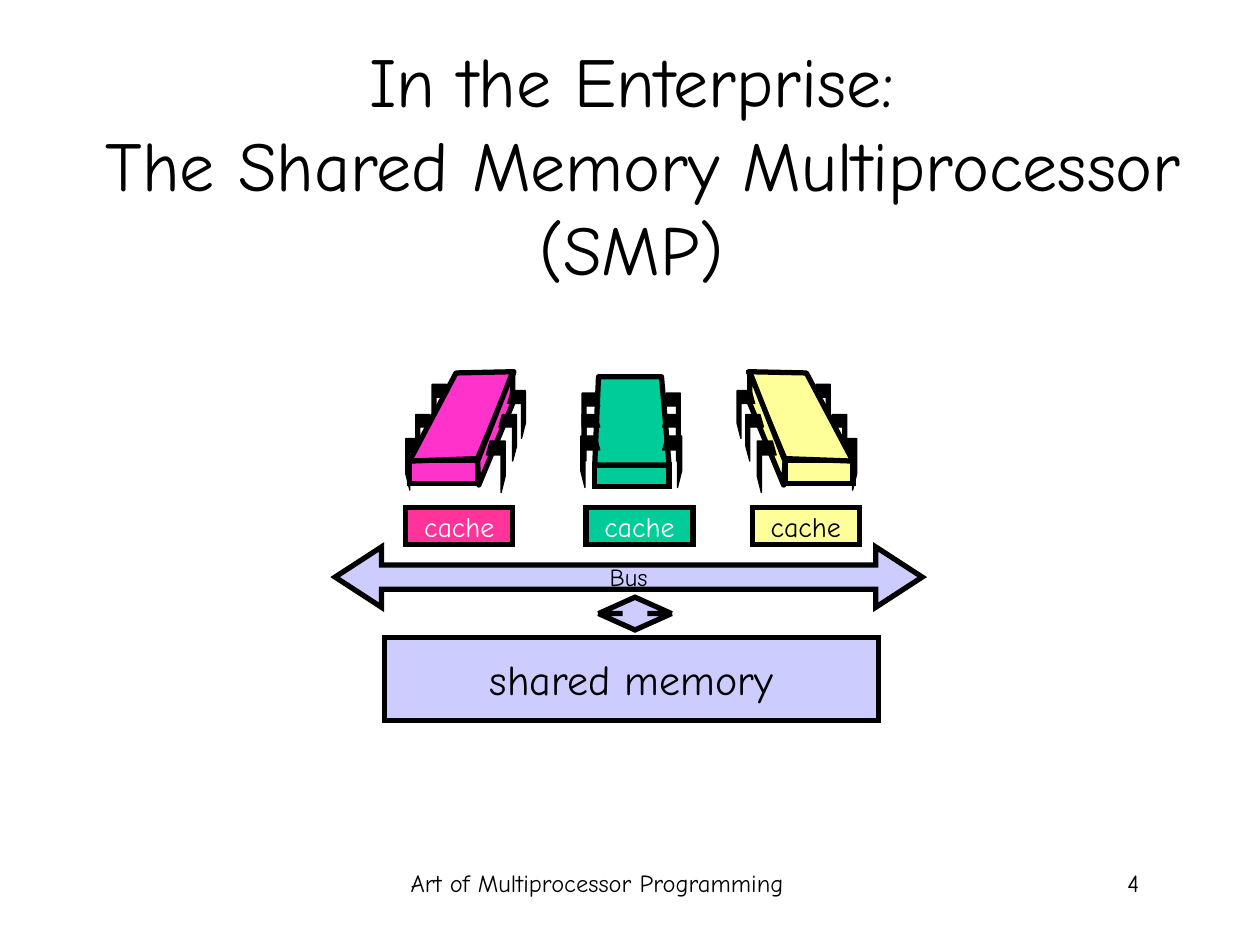
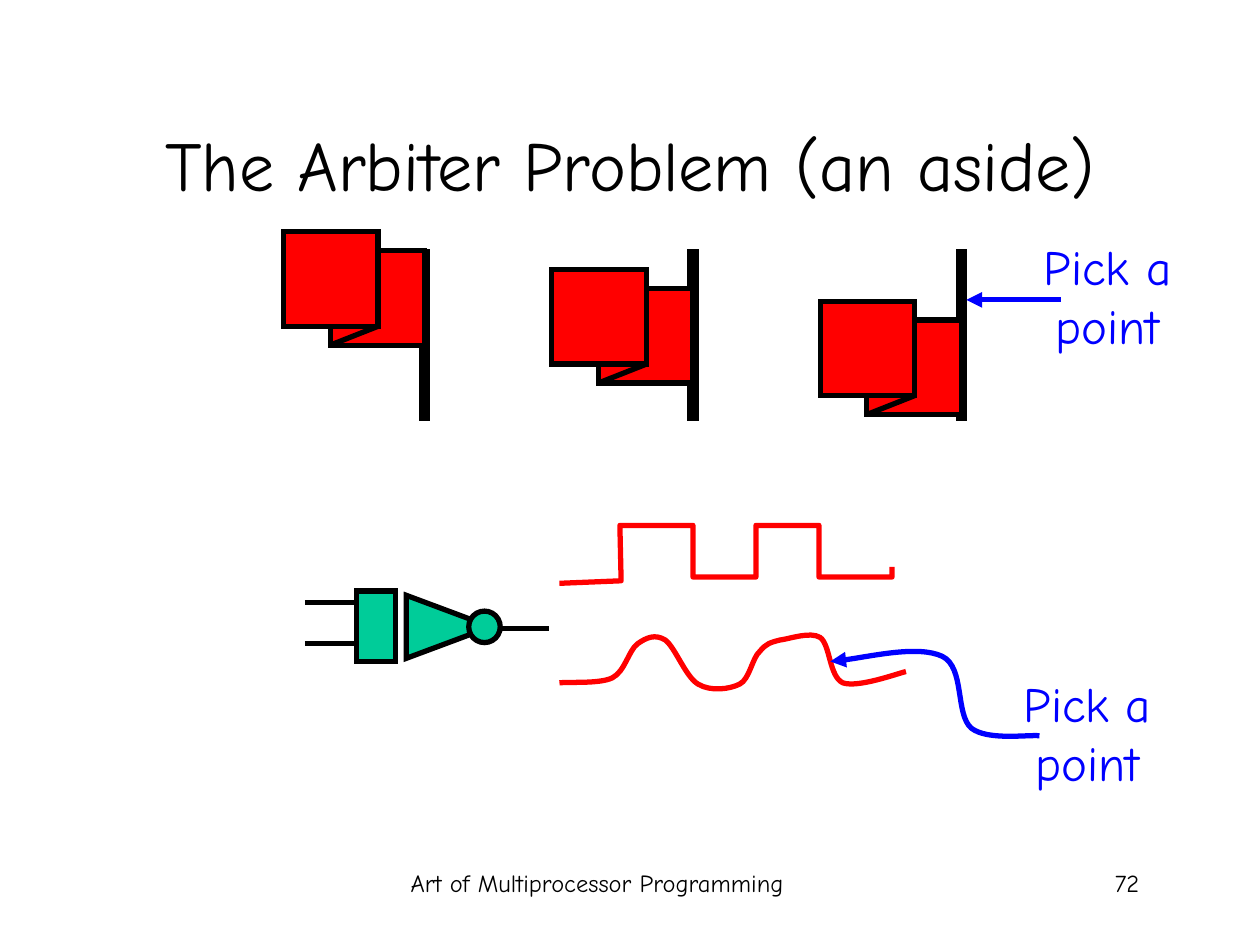
from lxml.etree import SubElement
from pptx import Presentation
from pptx.dml.color import RGBColor
from pptx.enum.shapes import MSO_CONNECTOR, MSO_SHAPE as SHAPE
from pptx.enum.text import MSO_ANCHOR as ANCHOR, PP_ALIGN as ALIGN
from pptx.oxml.ns import qn
from pptx.util import Inches, Pt

FONT = "Comic Neue"
COLORS = {
    "black": "000000", "white": "FFFFFF", "red": "FF0000", "blue": "0000FF",
    "green": "00CC99", "magenta": "FF33CC", "pink": "FF3399",
    "yellow": "FFFF99", "lavender": "CCCCFF",
}
LINE_WEIGHT = 3
PIN_OUTLINE = [(0.2, 0), (1, 0), (1, 0.68), (0.78, 1), (0.78, 0.27), (0, 0.27)]
PIN_SIZES = [(0.15, 0.41), (0.14, 0.37), (0.14, 0.38)]


def rgb(name):
    """Return the named palette colour."""
    return RGBColor.from_string(COLORS[name])


def set_line(line, color="black", weight=LINE_WEIGHT):
    """Give a line its colour and weight."""
    line.color.rgb = rgb(color)
    line.width = Pt(weight)


def add_arrowhead(line_owner):
    """End a line with a triangle."""
    line = line_owner._element.spPr.find(qn("a:ln"))
    SubElement(line, qn("a:tailEnd"), type="triangle")


def write(shape, text, size, color="black", align=ALIGN.CENTER,
          anchor=ANCHOR.MIDDLE, wrap=False):
    """Put one paragraph of text into a shape."""
    frame = shape.text_frame
    frame.word_wrap = wrap
    frame.vertical_anchor = anchor
    paragraph = frame.paragraphs[0]
    paragraph.text = text
    paragraph.alignment = align
    font = paragraph.font
    font.name, font.size, font.color.rgb = FONT, Pt(size), rgb(color)


def add_text(slide, box, text, size, **style):
    """Add a wrapping text box."""
    textbox = slide.shapes.add_textbox(*map(Inches, box))
    write(textbox, text, size, wrap=True, **style)


def add_block(slide, kind, box, fill, weight=LINE_WEIGHT):
    """Add a filled preset shape with a sharp black outline."""
    block = slide.shapes.add_shape(kind, *map(Inches, box))
    block.shadow.inherit = False
    block.fill.solid()
    block.fill.fore_color.rgb = rgb(fill)
    set_line(block.line, weight=weight)
    SubElement(block._element.spPr.find(qn("a:ln")), qn("a:miter"), lim="800000")
    return block


def add_line(slide, start, end, color="black"):
    """Add a straight line between two points."""
    line = slide.shapes.add_connector(
        MSO_CONNECTOR.STRAIGHT, *map(Inches, (*start, *end)))
    set_line(line.line, color)
    SubElement(line._element.spPr, qn("a:effectLst"))
    return line


def add_outline(slide, left, top, points, color="black", fill=None,
                weight=LINE_WEIGHT):
    """Add a freeform, closed if filled, from points relative to a corner."""
    corners = [(Inches(left + x), Inches(top + y)) for x, y in points]
    builder = slide.shapes.build_freeform(*corners[0])
    builder.add_line_segments(corners[1:], close=fill is not None)
    outline = builder.convert_to_shape()
    outline.shadow.inherit = False
    if fill:
        outline.fill.solid()
        outline.fill.fore_color.rgb = rgb(fill)
    else:
        outline.fill.background()
    set_line(outline.line, color, weight)
    return outline


def add_curve(slide, left, top, points, color):
    """Add a Bézier curve: a start, then two controls and an end per piece."""
    curve = add_outline(slide, left, top, points, color)
    trace = next(curve._element.iter(qn("a:path")))
    segments = trace.findall(qn("a:lnTo"))
    for first in range(0, len(segments), 3):
        bezier = SubElement(trace, qn("a:cubicBezTo"))
        for segment in segments[first:first + 3]:
            bezier.append(segment[0])
            trace.remove(segment)
    return curve


def add_frame(deck, title, title_box, number):
    """Start a slide with its title, footer and number."""
    slide = deck.slides.add_slide(deck.slide_layouts[6])
    add_text(slide, (2.6, 6.84, 4.28, 0.5), "Art of Multiprocessor Programming",
             14, anchor=ANCHOR.TOP)
    add_text(slide, (7.06, 6.84, 2.08, 0.5), str(number), 14,
             align=ALIGN.RIGHT, anchor=ANCHOR.TOP)
    add_text(slide, title_box, title, 40)
    return slide


def add_pin(slide, left, top, size, points_left):
    """Add one chip pin, bent down on its outer side."""
    width, height = size
    points = [((1 - x if points_left else x) * width, y * height)
              for x, y in PIN_OUTLINE]
    add_outline(slide, left, top, points, fill="black", weight=0.75)


def add_leaning_chip(slide, left, top, fill, mirrored=False):
    """Draw a chip leaning right, or left when mirrored."""
    chip_width = 0.96

    def across(x, width=0):
        return chip_width - x - width if mirrored else x

    def add_pins(corners, points_left):
        for (x, y), size in zip(corners, PIN_SIZES):
            add_pin(slide, left + across(x, size[0]), top + y, size,
                    points_left != mirrored)

    def add_face(points):
        add_outline(slide, left, top, [(across(x), y) for x, y in points], fill=fill)

    add_block(slide, SHAPE.RECTANGLE,
              (left + across(0.03, 0.54), top + 0.7, 0.54, 0.19), fill)
    add_pins([(0, 0.53), (0.08, 0.34), (0.21, 0.1)], True)
    add_face([(0.03, 0.71), (0.57, 0.69), (0.86, 0), (0.4, 0.01)])
    add_face([(0.85, 0), (0.85, 0.25), (0.58, 0.9), (0.57, 0.71)])
    add_pins([(0.64, 0.55), (0.74, 0.34), (0.81, 0.15)], False)


def add_upright_chip(slide, left, top, fill):
    """Draw a chip seen from straight ahead."""
    chip_width = 0.8
    add_block(slide, SHAPE.RECTANGLE, (left + 0.11, top + 0.7, 0.59, 0.17), fill)
    add_outline(slide, left, top,
                [(0.14, 0), (0.64, 0), (0.7, 0.7), (0.11, 0.7)], fill=fill)
    for points_left in (False, True):
        for x, y, size in zip((0, 0.01, 0.01), (0.47, 0.3, 0.13), PIN_SIZES):
            pin_x = x if points_left else chip_width - x - size[0]
            add_pin(slide, left + pin_x, top + y, size, points_left)


def add_memory_system(slide, left, top):
    """Draw caches, bus and shared memory."""
    caches = [(0.56, "pink", "white"), (1.99, "green", "white"),
              (3.31, "yellow", "black")]
    for x, fill, ink in caches:
        cache = add_block(slide, SHAPE.RECTANGLE, (left + x, top, 0.85, 0.29), fill)
        write(cache, "cache", 16, ink)

    bus = add_block(slide, SHAPE.LEFT_RIGHT_ARROW,
                    (left, top + 0.31, 4.66, 0.48), "lavender")
    bus.adjustments[0], bus.adjustments[1] = 0.4, 0.77
    write(bus, "Bus", 14)

    memory = add_block(slide, SHAPE.RECTANGLE,
                       (left + 0.39, top + 1.03, 3.92, 0.66), "lavender")
    write(memory, "shared memory", 24)

    memory_link = add_block(slide, SHAPE.UP_DOWN_ARROW,
                            (left + 2.09, top + 0.71, 0.58, 0.26), "lavender")
    memory_link.adjustments[0], memory_link.adjustments[1] = 0.5, 0.34


def add_flag(slide, left, top, drop):
    """Draw a folded flag lowered by drop on its pole."""
    side = 0.75
    front_x, back_x = left, left + 0.37
    front_y, back_y = top + drop - 0.15, top + drop
    add_block(slide, SHAPE.RECTANGLE, (left + 1.09, top, 0.06, 1.34), "black", 2.25)
    add_block(slide, SHAPE.RECTANGLE, (back_x, back_y, side, side), "red")
    add_line(slide, (back_x, back_y + side), (front_x + side, front_y + side))
    add_block(slide, SHAPE.RECTANGLE, (front_x, front_y, side, side), "red")


def add_gate(slide, left, top):
    """Draw a logic gate with two inputs and one output."""
    add_line(slide, (left + 1.52, top + 0.3), (left + 1.94, top + 0.3))
    add_block(slide, SHAPE.RECTANGLE, (left + 0.41, top, 0.31, 0.56), "green")
    inverter = add_block(slide, SHAPE.ISOSCELES_TRIANGLE,
                         (left + 0.89, top - 0.05, 0.5, 0.67), "green")
    inverter.rotation = 90
    add_block(slide, SHAPE.OVAL, (left + 1.3, top + 0.16, 0.25, 0.25), "green")
    for input_y in (top + 0.09, top + 0.42):
        add_line(slide, (left, input_y), (left + 0.41, input_y))


def add_signals(slide, left, top):
    """Draw the ideal square signal above the real, rounded one."""
    add_outline(slide, left, top, [
        (0, 0.46), (0.49, 0.44), (0.48, 0), (1.06, 0), (1.06, 0.41), (1.56, 0.41),
        (1.56, 0), (2.06, 0), (2.06, 0.41), (2.64, 0.41), (2.64, 0.33)], "red")
    add_curve(slide, left, top + 0.84, [
        (0, 0.41),
        (0.07, 0.4), (0.32, 0.42), (0.42, 0.37),
        (0.52, 0.32), (0.55, 0.15), (0.62, 0.1),
        (0.69, 0.05), (0.76, 0.02), (0.84, 0.07),
        (0.92, 0.13), (1, 0.36), (1.1, 0.42),
        (1.2, 0.48), (1.35, 0.46), (1.43, 0.42),
        (1.51, 0.38), (1.53, 0.21), (1.59, 0.16),
        (1.64, 0.1), (1.67, 0.09), (1.75, 0.07),
        (1.83, 0.06), (1.99, 0), (2.07, 0.05),
        (2.15, 0.11), (2.14, 0.36), (2.25, 0.41),
        (2.37, 0.45), (2.67, 0.34), (2.75, 0.32)], "red")


def add_hint(slide, left, top):
    """Add the blue call to pick a point."""
    add_text(slide, (left, top, 1.58, 1.04), "Pick a point", 28,
             color="blue", anchor=ANCHOR.TOP)


def build_multiprocessor(deck):
    """Build the slide on the shared memory multiprocessor."""
    slide = add_frame(
        deck, "In the Enterprise: \vThe Shared Memory Multiprocessor\v(SMP) ",
        (0.27, 0.67, 9.67, 1.25), 4)
    add_upright_chip(slide, 4.61, 2.99, "green")
    add_leaning_chip(slide, 3.22, 2.95, "magenta")
    add_leaning_chip(slide, 5.84, 2.95, "yellow", mirrored=True)
    add_memory_system(slide, 2.66, 4.03)


def build_arbiter(deck):
    """Build the slide on the arbiter problem."""
    slide = add_frame(deck, "The Arbiter Problem (an aside)",
                      (0.75, 0.67, 8.5, 1.25), 72)
    for index, drop in enumerate((0, 0.3, 0.55)):
        add_flag(slide, 2.25 + 2.13 * index, 1.99, drop)
    add_arrowhead(add_line(slide, (8.42, 2.38), (7.67, 2.38), "blue"))
    add_hint(slide, 8, 1.83)
    add_gate(slide, 2.42, 4.69)
    add_signals(slide, 4.44, 4.17)
    add_arrowhead(add_curve(slide, 6.59, 5.12, [
        (1.66, 0.72),
        (1.57, 0.71), (1.25, 0.76), (1.12, 0.66),
        (0.99, 0.55), (1.07, 0.18), (0.89, 0.09),
        (0.7, 0), (0.18, 0.12), (0, 0.13)], "blue"))
    add_hint(slide, 7.84, 5.3)


def main():
    """Build and save the deck."""
    deck = Presentation()
    deck.slide_width, deck.slide_height = Inches(10), Inches(7.5)
    build_multiprocessor(deck)
    build_arbiter(deck)
    deck.save("out.pptx")


if __name__ == "__main__":
    main()
